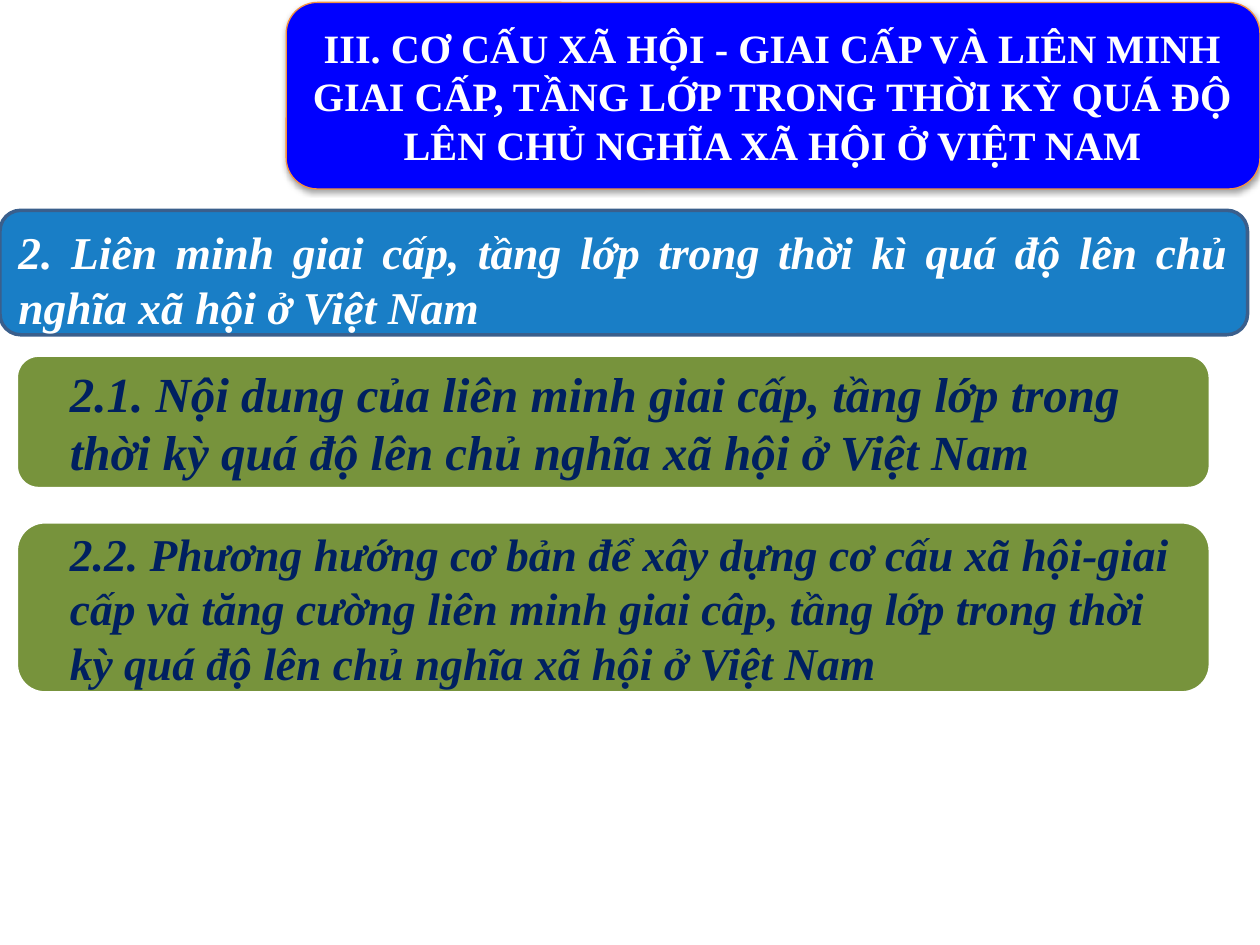
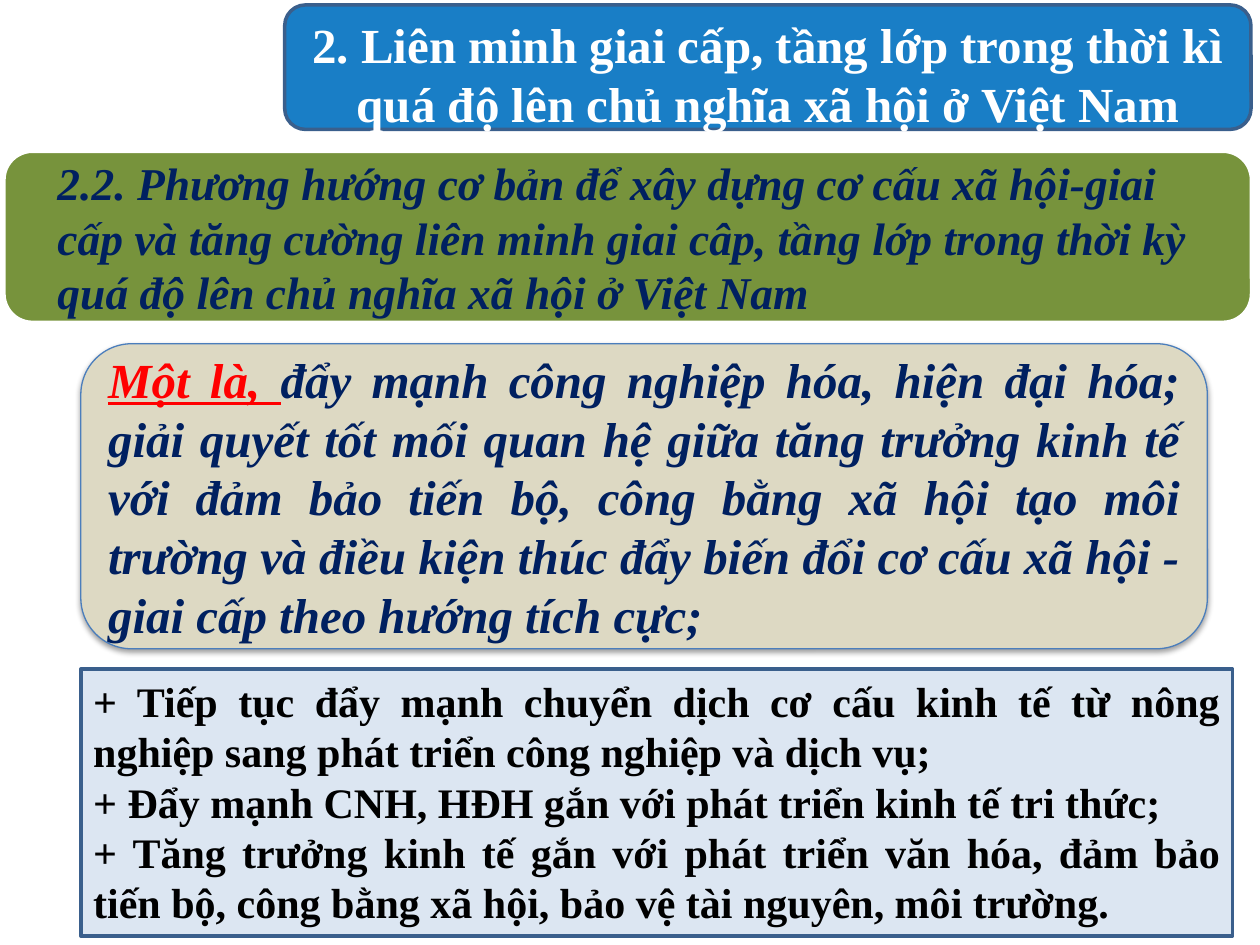
from lxml import etree
from pptx import Presentation
from pptx.dml.color import RGBColor
from pptx.enum import shapes, text
from pptx.oxml import ns
from pptx.util import Cm, Pt

FONT = "Times New Roman"
WHITE = RGBColor(0xFF, 0xFF, 0xFF)
BLACK = RGBColor(0, 0, 0)
RED = RGBColor(0xFF, 0, 0)
NAVY = RGBColor(0, 0x20, 0x60)
BLUE = RGBColor(0, 0, 0xFF)
ORANGE = RGBColor(0xF6, 0x92, 0x40)
SKY = RGBColor(0, 0x70, 0xC0)
STEEL = RGBColor(0x3A, 0x5F, 0x8C)
GREEN = RGBColor(0x77, 0x93, 0x3C)
SAND = RGBColor(0xDD, 0xD9, 0xC3)
SAND_EDGE = RGBColor(0x4B, 0x7E, 0xBC)
PALE = RGBColor(0xDC, 0xE6, 0xF2)

ROUNDED = shapes.MSO_SHAPE.ROUNDED_RECTANGLE
LEFT, CENTER, JUSTIFY = (text.PP_ALIGN.LEFT, text.PP_ALIGN.CENTER,
                         text.PP_ALIGN.JUSTIFY)

CHAPTER = ("III. CƠ CẤU XÃ HỘI - GIAI CẤP VÀ LIÊN MINH GIAI CẤP, TẦNG LỚP "
           "TRONG THỜI KỲ QUÁ ĐỘ LÊN CHỦ NGHĨA XÃ HỘI Ở VIỆT NAM")
SECTION = ("2. Liên minh giai cấp, tầng lớp trong thời kì quá độ lên "
           "chủ nghĩa xã hội ở Việt Nam")
CONTENT = ("2.1. Nội dung của liên minh giai cấp, tầng lớp trong thời kỳ "
           "quá độ lên chủ nghĩa xã hội ở Việt Nam")
DIRECTION = ("2.2. Phương hướng cơ bản để xây dựng cơ cấu xã hội-giai cấp và "
             "tăng cường liên minh giai câp, tầng lớp trong thời kỳ quá độ "
             "lên chủ nghĩa xã hội ở Việt Nam")
FIRST_LEAD = "Một là, "
FIRST_POINT = ("đẩy mạnh công nghiệp hóa, hiện đại hóa; giải quyết tốt mối "
               "quan hệ giữa tăng trưởng kinh tế với đảm bảo tiến bộ, công "
               "bằng xã hội tạo môi trường và điều kiện thúc đẩy biến đổi cơ "
               "cấu xã hội - giai cấp theo hướng tích cực;")
MEASURES = [
    "+ Tiếp tục đẩy mạnh chuyển dịch cơ cấu kinh tế từ nông nghiệp sang "
    "phát triển công nghiệp và dịch vụ;",
    "+ Đẩy mạnh CNH, HĐH gắn với phát triển kinh tế tri thức;",
    "+ Tăng trưởng kinh tế gắn với phát triển văn hóa, đảm bảo tiến bộ, "
    "công bằng xã hội, bảo vệ tài nguyên, môi trường.",
]


def write(para, words, size, color, align=LEFT, italic=False, underline=False):
    para.alignment = align
    span = para.add_run()
    span.text = words
    font = span.font
    font.name, font.size, font.bold = FONT, Pt(size), True
    font.italic, font.underline = italic, underline
    font.color.rgb = color


def add_panel(parent, box, fill, edge, weight=2, kind=ROUNDED):
    panel = parent.add_shape(kind, *map(Cm, box))
    panel.shadow.inherit = False
    panel.fill.solid()
    panel.fill.fore_color.rgb = fill
    panel.line.color.rgb = edge
    panel.line.width = Pt(weight)
    panel.text_frame.word_wrap = True
    panel.text_frame.vertical_anchor = text.MSO_ANCHOR.MIDDLE
    return panel


def add_alpha(color_element, percent):
    etree.SubElement(color_element, ns.qn("a:alpha"), val=str(percent * 1000))


def cast_shadow(panel):
    effects = panel._element.spPr.find(ns.qn("a:effectLst"))
    shadow = etree.SubElement(effects, ns.qn("a:outerShdw"), blurRad="40000",
                              dist="20000", dir="5400000", rotWithShape="0")
    add_alpha(etree.SubElement(shadow, ns.qn("a:srgbClr"), val="000000"), 38)


def chapter_title(page, box):
    panel = add_panel(page.shapes, box, BLUE, ORANGE, 0.75)
    cast_shadow(panel)
    write(panel.text_frame.paragraphs[0], CHAPTER, 23, WHITE, CENTER)


def section_banner(page, box, **style):
    panel = add_panel(page.shapes, box, SKY, STEEL)
    add_alpha(panel._element.spPr.find(".//" + ns.qn("a:srgbClr")), 90)
    frame = panel.text_frame
    frame.margin_top, frame.margin_bottom = Cm(0.25), 0
    write(frame.paragraphs[0], SECTION, color=WHITE, **style)


def topic_card(page, box, words, size):
    left, top, width, height = box
    group = page.shapes.add_group_shape()
    add_panel(group.shapes, box, GREEN, WHITE)
    label = group.shapes.add_textbox(Cm(left + 0.47), Cm(top + 0.15),
                                     Cm(width - 0.3), Cm(height - 0.3))
    frame = label.text_frame
    frame.word_wrap = True
    frame.vertical_anchor = text.MSO_ANCHOR.MIDDLE
    frame.margin_left = frame.margin_right = Cm(0.61)
    frame.margin_top = frame.margin_bottom = 0
    write(frame.paragraphs[0], words, size, NAVY, italic=True)


def key_point(page, box):
    panel = add_panel(page.shapes, box, SAND, SAND_EDGE, 0.75)
    cast_shadow(panel)
    para = panel.text_frame.paragraphs[0]
    write(para, FIRST_LEAD, 28, RED, JUSTIFY, italic=True, underline=True)
    write(para, FIRST_POINT, 28, NAVY, JUSTIFY, italic=True)


def measure_list(page, box):
    panel = add_panel(page.shapes, box, PALE, STEEL,
                      kind=shapes.MSO_SHAPE.RECTANGLE)
    frame = panel.text_frame
    frame.vertical_anchor = text.MSO_ANCHOR.TOP
    frame.auto_size = text.MSO_AUTO_SIZE.SHAPE_TO_FIT_TEXT
    for index, measure in enumerate(MEASURES):
        para = frame.add_paragraph() if index else frame.paragraphs[0]
        write(para, measure, 24, BLACK, JUSTIFY)


def outline_slide(page):
    chapter_title(page, (5.77, 0.05, 19.63, 3.76))
    section_banner(page, (0, 4.24, 25.15, 2.51),
                   size=26, align=JUSTIFY, italic=True)
    topic_card(page, (0.33, 7.16, 24.07, 2.69), CONTENT, 28)
    topic_card(page, (0.33, 10.52, 24.07, 3.45), DIRECTION, 26)


def direction_slide(page):
    section_banner(page, (5.74, 0.1, 19.48, 2.51), size=28, align=CENTER)
    topic_card(page, (0.08, 3.05, 25.15, 3.45), DIRECTION, 26)
    key_point(page, (1.63, 6.93, 22.71, 6.15))
    measure_list(page, (1.63, 13.49, 23.22, 5.38))


def main():
    deck = Presentation()
    deck.slide_width, deck.slide_height = Cm(25.4), Cm(19.05)
    for build in (outline_slide, direction_slide):
        build(deck.slides.add_slide(deck.slide_layouts[6]))
    deck.save("out.pptx")


if __name__ == "__main__":
    main()
